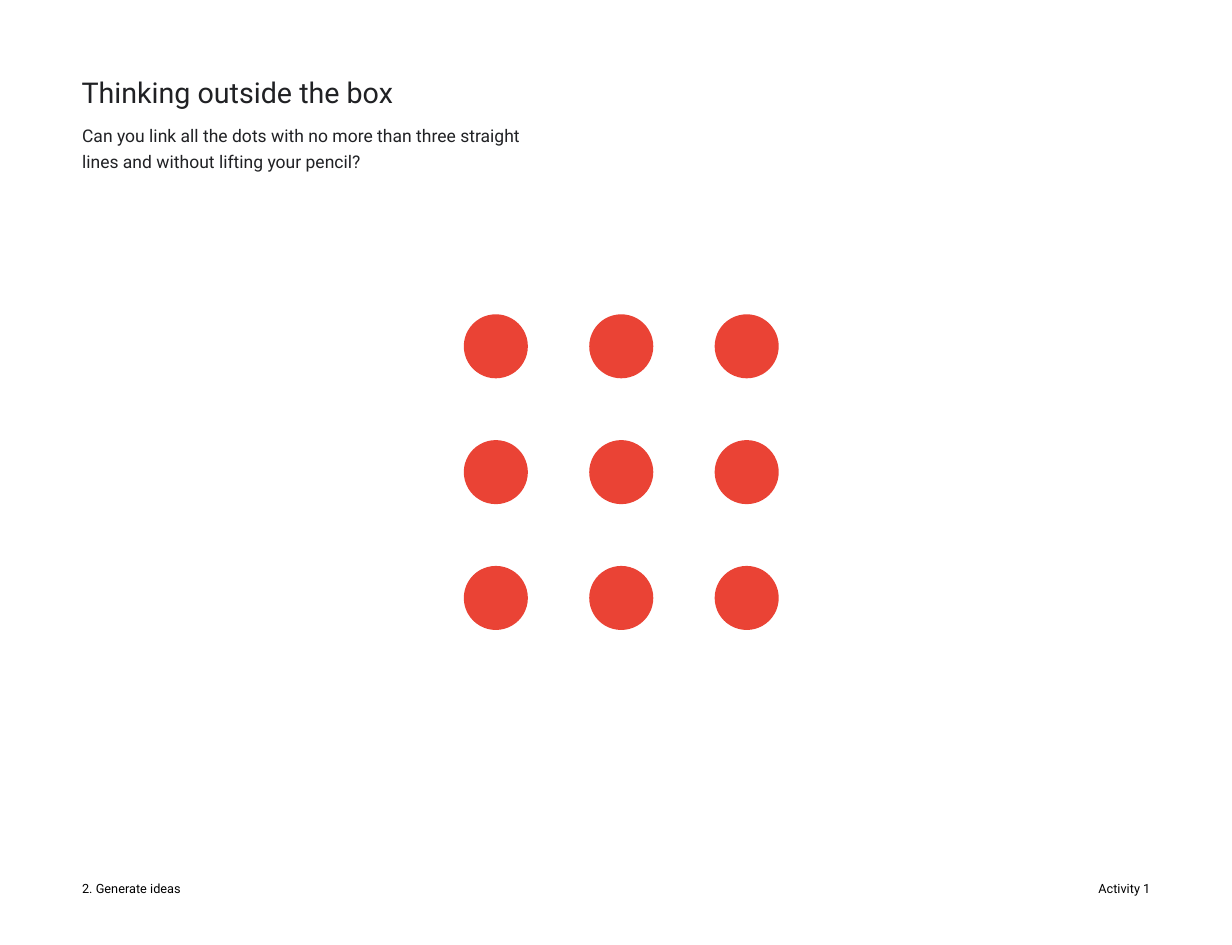
from pptx import Presentation
from pptx.dml.color import RGBColor
from pptx.enum.shapes import MSO_SHAPE
from pptx.enum.text import MSO_ANCHOR, PP_ALIGN
from pptx.util import Cm, Pt

RED = RGBColor(0xEA, 0x43, 0x35)
CHARCOAL = RGBColor(0x20, 0x21, 0x24)
BLACK = RGBColor(0x00, 0x00, 0x00)
FONT = "Roboto"
OVAL = MSO_SHAPE.OVAL
TOP, MIDDLE = MSO_ANCHOR.TOP, MSO_ANCHOR.MIDDLE
LEFT, RIGHT = PP_ALIGN.LEFT, PP_ALIGN.RIGHT

CM_PER_INCH = 2.54
PAGE_WIDTH = Cm(10.75 * CM_PER_INCH)
PAGE_HEIGHT = Cm(8.25 * CM_PER_INCH)

GRID_LEFT, GRID_TOP = 10.28, 6.97
DOT_SIZE = 1.42
COLUMN_PITCH, ROW_PITCH = 2.78, 2.79
DOTS_PER_SIDE = 3


def add_text(page, text, left, top, width, height, size, color=CHARCOAL,
             inset=0.25, anchor=TOP, align=LEFT, line_spacing=1.2, space_after=0):
    """Add a wrapped one-paragraph text box; lengths in cm, sizes in points."""
    box = page.shapes.add_textbox(Cm(left), Cm(top), Cm(width), Cm(height))
    frame = box.text_frame
    frame.word_wrap = True
    frame.vertical_anchor = anchor
    frame.margin_left = frame.margin_right = Cm(inset)
    frame.margin_top = frame.margin_bottom = Cm(inset)
    para = frame.paragraphs[0]
    para.text = text
    para.alignment = align
    para.line_spacing = line_spacing
    para.space_after = Pt(space_after)
    font = para.runs[0].font
    font.name = FONT
    font.size = Pt(size)
    font.color.rgb = color


def add_footer(page, text, left, align):
    add_text(page, text, left, 19.15, 7.34, 1.09, 8, color=BLACK,
             anchor=MIDDLE, align=align, line_spacing=1.0)


def add_dot(page, left, top):
    dot = page.shapes.add_shape(OVAL, Cm(left), Cm(top), Cm(DOT_SIZE), Cm(DOT_SIZE))
    dot.shadow.inherit = False
    dot.fill.solid()
    dot.fill.fore_color.rgb = RED
    dot.line.fill.background()


def add_dot_grid(page):
    for row in range(DOTS_PER_SIDE):
        for column in range(DOTS_PER_SIDE):
            add_dot(page, GRID_LEFT + column * COLUMN_PITCH, GRID_TOP + row * ROW_PITCH)


def main():
    deck = Presentation()
    deck.slide_width, deck.slide_height = PAGE_WIDTH, PAGE_HEIGHT
    page = deck.slides.add_slide(deck.slide_layouts[6])

    add_dot_grid(page)
    add_text(page, "Can you link all the dots with no more than three straight "
             "lines and without lifting your pencil?",
             1.57, 2.44, 10.46, 2.51, 11, space_after=16)
    add_footer(page, "2. Generate ideas", 1.57, LEFT)
    add_footer(page, "Activity 1", 18.41, RIGHT)
    add_text(page, "Thinking outside the box", 1.5, 1.2, 24.51, 1.09, 18, inset=0.31)

    deck.save("out.pptx")


if __name__ == "__main__":
    main()
